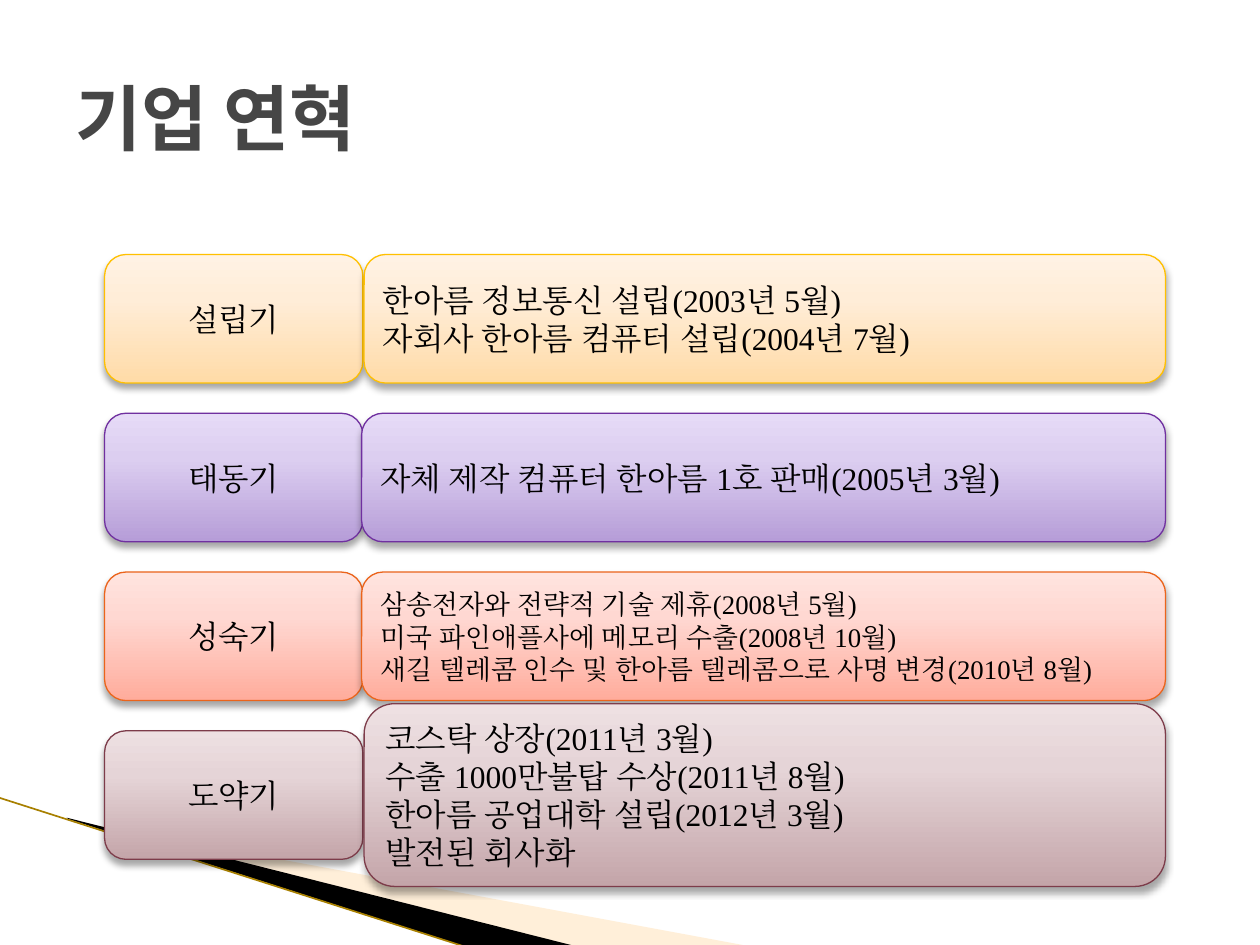
from lxml import etree
from pptx import Presentation
from pptx.dml.color import RGBColor
from pptx.enum.shapes import MSO_CONNECTOR, MSO_SHAPE
from pptx.enum.text import MSO_ANCHOR, PP_ALIGN
from pptx.oxml import parse_xml
from pptx.oxml.ns import nsdecls, qn
from pptx.util import Inches, Pt

TITLE_FONT = "Noto Sans CJK KR"
BODY_FONT = "Times New Roman"
LABEL_LEFT, LABEL_WIDTH = 0.83, 2.05
DETAIL_RIGHT = 9.25
ROW_TOP, ROW_HEIGHT, ROW_PITCH = 2.02, 1.02, 1.26

# name, outline, gradient from bottom to top, detail left, detail height, size, lines
PERIODS = [
    ("설립기", "FFC000", ("FFDBA7", "FFEDD8", "FFF2E4"), 2.89, ROW_HEIGHT, 18,
     ["한아름 정보통신 설립(2003년 5월)", "자회사 한아름 컴퓨터 설립(2004년 7월)"]),
    ("태동기", "7030A0", ("B69DD8", "DCCEF0", "E6DBF7"), 2.87, ROW_HEIGHT, 18,
     ["자체 제작 컴퓨터 한아름 1호 판매(2005년 3월)"]),
    ("성숙기", "EB641B", ("FFAC9C", "FFD8D2", "FFE4DF"), 2.87, ROW_HEIGHT, 15.3,
     ["삼송전자와 전략적 기술 제휴(2008년 5월)",
      "미국 파인애플사에 메모리 수출(2008년 10월)",
      "새길 텔레콤 인수 및 한아름 텔레콤으로 사명 변경(2010년 8월)"]),
    ("도약기", "7D3C4A", ("C4A5A9", "E5D4D7", "EEE0E2"), 2.89, 1.45, 18,
     ["코스탁 상장(2011년 3월)", "수출 1000만불탑 수상(2011년 8월)",
      "한아름 공업대학 설립(2012년 3월)", "발전된 회사화"]),
]


def rgb(color):
    return RGBColor.from_string(color)


def style_text(tf, font, size, color, bold=False, align=PP_ALIGN.LEFT):
    tf.word_wrap = True
    tf.vertical_anchor = MSO_ANCHOR.MIDDLE
    for p in tf.paragraphs:
        p.alignment = align
        for r in p.runs:
            r.font.name, r.font.size, r.font.bold = font, Pt(size), bold
            r.font.color.rgb = rgb(color)
            ea = etree.SubElement(r.font._element, qn("a:ea"))
            ea.set("typeface", font)


def set_gradient(sp, colors):
    """Run the three colours from the bottom of the shape to its top."""
    stops = "".join(f'<a:gs pos="{pos}000"><a:srgbClr val="{color}"/></a:gs>'
                    for pos, color in zip((0, 65, 100), colors))
    sp.fill.background()
    no_fill = sp._element.spPr.find(qn("a:noFill"))
    no_fill.getparent().replace(no_fill, parse_xml(
        f'<a:gradFill {nsdecls("a")} rotWithShape="1"><a:gsLst>{stops}</a:gsLst>'
        '<a:lin ang="16200000" scaled="0"/></a:gradFill>'))


def set_shadow(sp):
    sp.shadow.inherit = False
    effects = sp._element.spPr.find(qn("a:effectLst"))
    effects.append(parse_xml(
        f'<a:outerShdw {nsdecls("a")} blurRad="{Pt(4)}" dist="{Pt(3)}" dir="5400000" '
        'rotWithShape="0"><a:srgbClr val="000000"><a:alpha val="35000"/></a:srgbClr>'
        '</a:outerShdw>'))


def add_card(slide, left, top, width, height, lines, size, outline, colors, align):
    sp = slide.shapes.add_shape(MSO_SHAPE.ROUNDED_RECTANGLE, Inches(left), Inches(top),
                                Inches(width), Inches(height))
    set_gradient(sp, colors)
    sp.line.color.rgb = rgb(outline)
    sp.line.width = Pt(0.75)
    set_shadow(sp)
    sp.text_frame.text = "\n".join(lines)
    style_text(sp.text_frame, BODY_FONT, size, "000000", align=align)


def add_wedge(slide, points, color, alpha=100):
    corners = [(Inches(x), Inches(y)) for x, y in points]
    builder = slide.shapes.build_freeform(*corners[0])
    builder.add_line_segments(corners[1:])
    sp = builder.convert_to_shape()
    sp.fill.solid()
    sp.fill.fore_color.rgb = rgb(color)
    if alpha < 100:
        clr = sp._element.spPr.find(".//" + qn("a:srgbClr"))
        etree.SubElement(clr, qn("a:alpha")).set("val", f"{alpha}000")
    sp.line.fill.background()
    sp.shadow.inherit = False


def add_corner(slide):
    add_wedge(slide, [(0.55, 6.51), (5.95, 7.51), (4.56, 7.51), (0.55, 6.5)], "FFD9A2", 40)
    add_wedge(slide, [(0.53, 6.49), (4.57, 7.51), (3.72, 7.52), (0.54, 6.5)], "000000")
    edge = slide.shapes.add_connector(MSO_CONNECTOR.STRAIGHT, Inches(-0.01), Inches(6.33),
                                      Inches(3.71), Inches(7.52))
    edge.line.color.rgb = rgb("A88000")
    edge.line.width = Pt(0.95)
    etree.SubElement(edge._element.spPr, qn("a:effectLst"))


def add_title(slide, left, top, width, height):
    box = slide.shapes.add_textbox(Inches(left), Inches(top), Inches(width), Inches(height))
    box.text_frame.text = "기업 연혁"
    style_text(box.text_frame, TITLE_FONT, 41, "464646", bold=True)


def add_history(slide, top):
    for i, (name, outline, colors, left, height, size, lines) in enumerate(PERIODS):
        row_top = top + i * ROW_PITCH
        add_card(slide, LABEL_LEFT, row_top, LABEL_WIDTH, ROW_HEIGHT, [name], 18,
                 outline, colors, PP_ALIGN.CENTER)
        detail_top = row_top + (ROW_HEIGHT - height) / 2
        add_card(slide, left, detail_top, DETAIL_RIGHT - left, height, lines, size,
                 outline, colors, PP_ALIGN.LEFT)


def main():
    prs = Presentation()
    prs.slide_width, prs.slide_height = Inches(10), Inches(7.5)
    slide = prs.slides.add_slide(prs.slide_layouts[6])
    add_corner(slide)
    add_title(slide, 0.5, 0.3, 9, 1.25)
    add_history(slide, ROW_TOP)
    prs.save("out.pptx")


if __name__ == "__main__":
    main()
